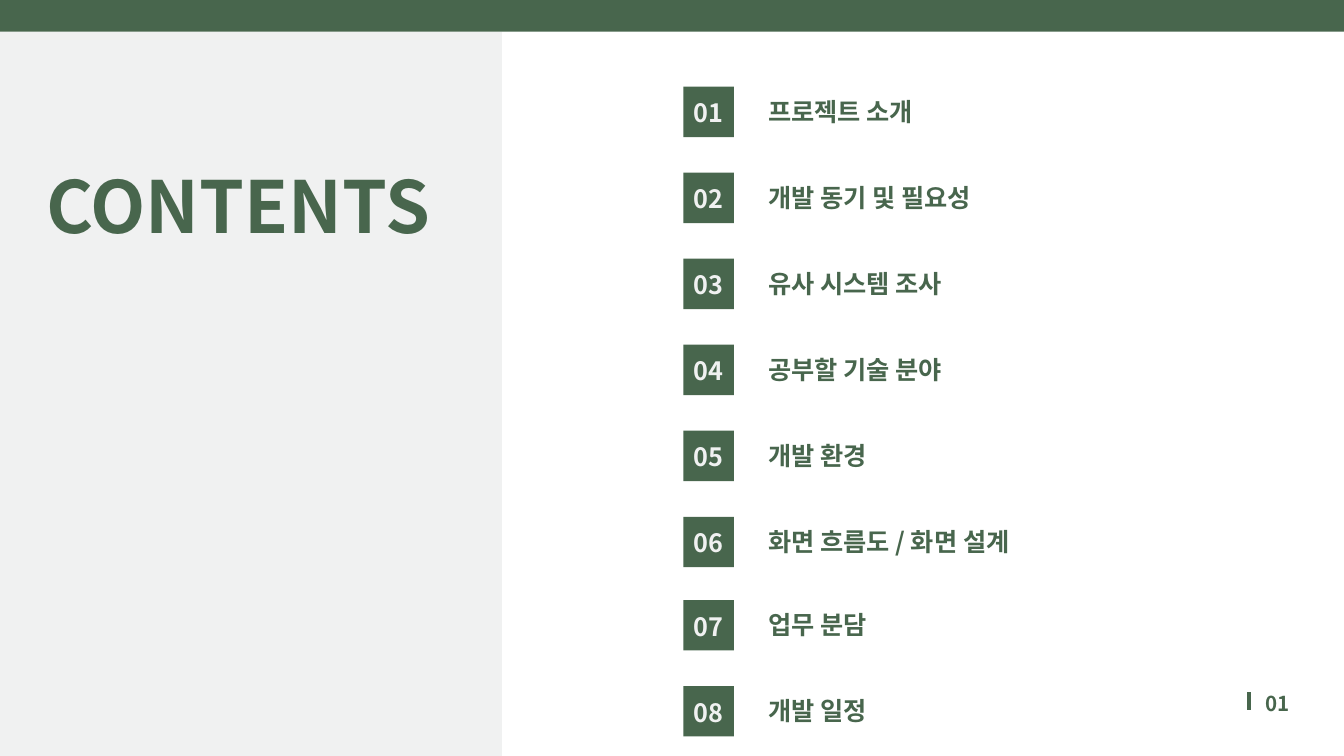
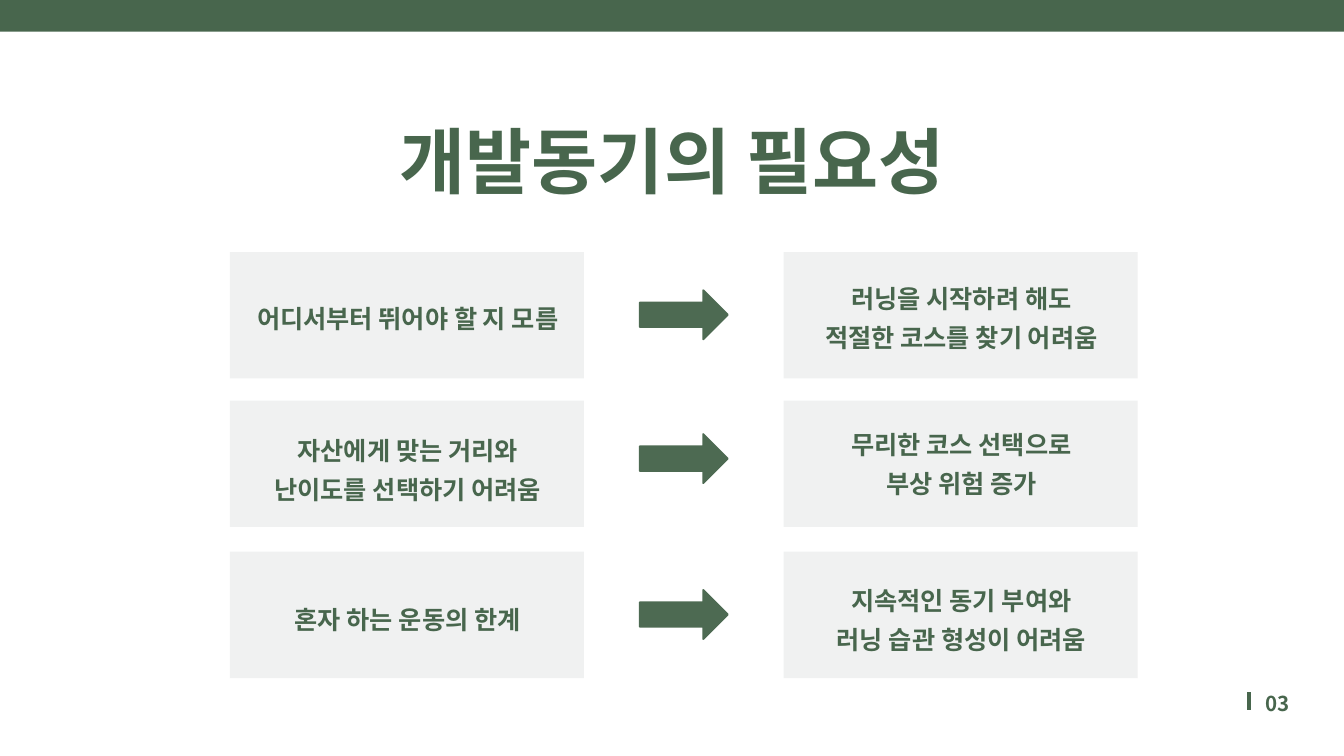
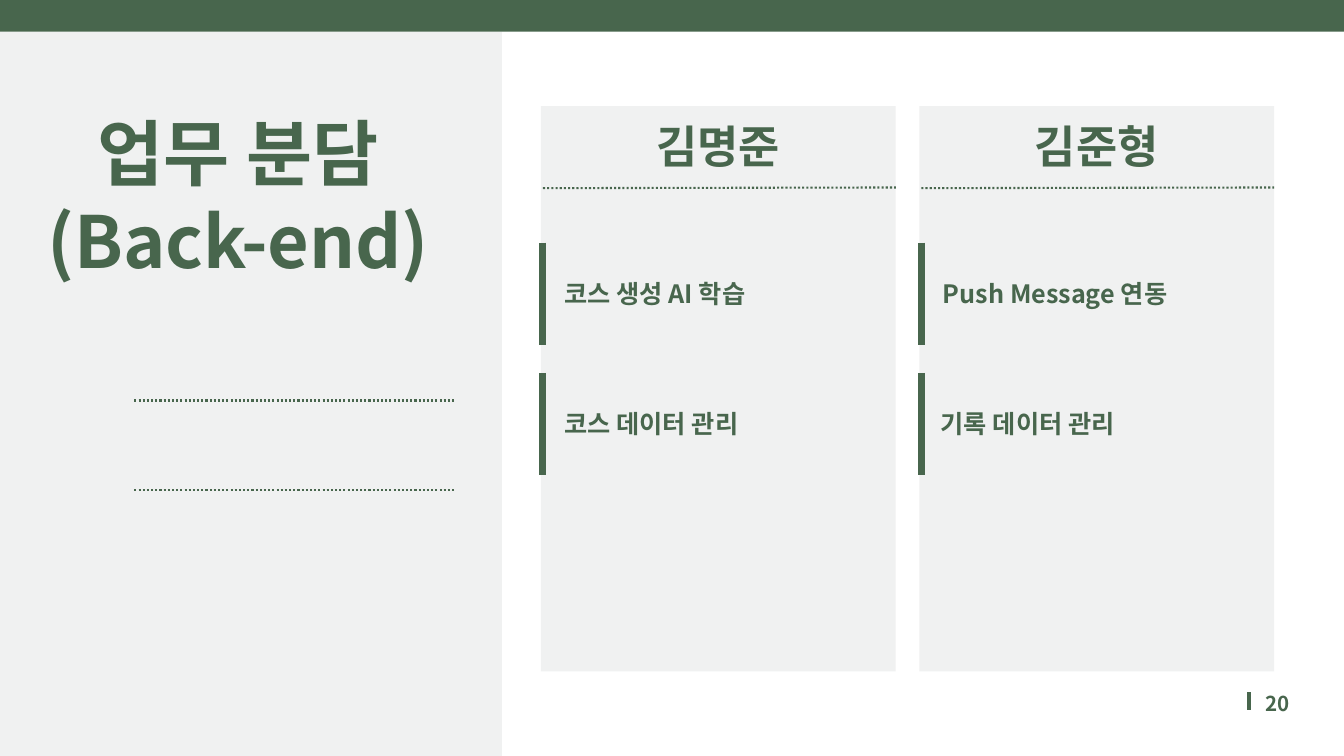
"""Build three project slides: contents, motivation and back-end work split."""
from dataclasses import dataclass

from lxml import etree
from pptx import Presentation
from pptx.dml.color import RGBColor
from pptx.enum.dml import MSO_LINE
from pptx.enum.shapes import MSO_CONNECTOR, MSO_SHAPE
from pptx.enum.text import MSO_ANCHOR, MSO_AUTO_SIZE, PP_ALIGN
from pptx.oxml.ns import qn
from pptx.util import Inches, Pt

RECT, ARROW = MSO_SHAPE.RECTANGLE, MSO_SHAPE.RIGHT_ARROW
STRAIGHT, DOTTED = MSO_CONNECTOR.STRAIGHT, MSO_LINE.ROUND_DOT
LEFT, CENTER, RIGHT = PP_ALIGN.LEFT, PP_ALIGN.CENTER, PP_ALIGN.RIGHT
TOP, MIDDLE = MSO_ANCHOR.TOP, MSO_ANCHOR.MIDDLE
FIT = MSO_AUTO_SIZE.SHAPE_TO_FIT_TEXT


@dataclass(frozen=True)
class Theme:
    """Colours, font and type sizes shared by the slides."""
    green: RGBColor = RGBColor(0x48, 0x66, 0x4D)
    arrow: RGBColor = RGBColor(0x4D, 0x6A, 0x52)
    pale: RGBColor = RGBColor(0xF0, 0xF1, 0xF1)
    font: str = "Noto Sans CJK KR"
    title: float = 77
    name: float = 48
    body: float = 27
    page: float = 22


class Deck:
    """Holds the style and the current slide."""

    def __init__(self, theme):
        """Start an empty presentation."""
        self.theme = theme
        self.prs = Presentation()
        self.prs.slide_width, self.prs.slide_height = Inches(20), Inches(11.25)
        self.s = None

    def slide(self, page, panel=False):
        """Add a slide with the top band, page number and optional side panel."""
        self.s = self.prs.slides.add_slide(self.prs.slide_layouts[6])
        if panel:
            self.block(0, 0.47, 7.47, 10.78, self.theme.pale)
        self.block(0, 0, 20, 0.47, self.theme.green)
        self.line(18.59, 10.3, 18.59, 10.57, 3.75)
        self.text(18.71, 10.22, 0.48, 0.42, [page], self.theme.page, 30.8, RIGHT)

    def block(self, x, y, w, h, color, kind=RECT, border=None):
        """Add a filled preset shape."""
        sp = self.s.shapes.add_shape(kind, *map(Inches, (x, y, w, h)))
        sp.shadow.inherit = False
        sp.fill.solid()
        sp.fill.fore_color.rgb = color
        if border:
            sp.line.color.rgb, sp.line.width = color, Pt(border)
        else:
            sp.line.fill.background()
        return sp

    def line(self, x1, y1, x2, y2, width, dash=None):
        """Add a green straight line."""
        cx = self.s.shapes.add_connector(STRAIGHT, *map(Inches, (x1, y1, x2, y2)))
        cx.line.color.rgb, cx.line.width = self.theme.green, Pt(width)
        if dash:
            cx.line.dash_style = dash
        etree.SubElement(cx._element.spPr, qn("a:effectLst"))

    def fill_text(self, tf, lines, size, spacing, align, color, anchor=TOP, margins=(0, 0, 0, 0)):
        """Fill a text frame with bold paragraphs."""
        sides = ("margin_left", "margin_top", "margin_right", "margin_bottom")
        frame = dict(zip(sides, map(Inches, margins)), word_wrap=True, vertical_anchor=anchor)
        for key, value in frame.items():
            setattr(tf, key, value)
        for i, line in enumerate(lines):
            p = tf.add_paragraph() if i else tf.paragraphs[0]
            p.alignment, p.line_spacing = align, Pt(spacing)
            r = p.add_run()
            r.text = line
            for key, value in {"size": Pt(size), "bold": True, "name": self.theme.font}.items():
                setattr(r.font, key, value)
            r.font.color.rgb = color
            ea = etree.SubElement(r._r.get_or_add_rPr(), qn("a:ea"))
            ea.set("typeface", self.theme.font)

    def text(self, x, y, w, h, lines, size, spacing, align=LEFT):
        """Add a green text box without margins."""
        tf = self.s.shapes.add_textbox(*map(Inches, (x, y, w, h))).text_frame
        self.fill_text(tf, lines, size, spacing, align, self.theme.green)
        tf.auto_size = FIT

    def title(self, x, y, w, h, lines, spacing=107.8):
        """Add a large centred title."""
        self.text(x, y, w, h, lines, self.theme.title, spacing, CENTER)

    def label(self, x, y, line):
        """Add a one-line body label."""
        self.text(x, y, 4.58, 0.45, [line], self.theme.body, 32.4)

    def badge(self, x, y, number):
        """Add a green numbered square."""
        sp = self.block(x, y, 0.75, 0.75, self.theme.green)
        self.fill_text(sp.text_frame, [number], self.theme.body, 37.8, CENTER, self.theme.pale,
                       MIDDLE, (0.06, 0.01, 0.06, 0.06))

    def card(self, x, y, text_y, lines):
        """Add a pale box with centred lines."""
        self.block(x, y, 5.27, 1.88, self.theme.pale)
        self.text(x + 0.17, text_y, 4.95, 0.53 * len(lines), lines, self.theme.body, 41.8, CENTER)

    def member(self, x, name, tasks):
        """Add a column with a member's name and tasks."""
        self.block(x, 1.58, 5.28, 8.41, self.theme.pale)
        self.line(x + 0.03, 2.8, x + 5.28, 2.79, 2.25, DOTTED)
        self.text(x + 0.35, 2.11, 4.58, 0.49, [name], self.theme.name, 32.4, CENTER)
        for i, (indent, task) in enumerate(tasks):
            y = 3.61 + 1.94 * i
            self.line(x + 0.03, y, x + 0.03, y + 1.52, 7.5)
            self.label(x + indent, y + 0.53, task)


def contents(deck):
    """Build the contents slide."""
    deck.slide("01", panel=True)
    deck.title(0.58, 2.19, 5.93, 1.44, ["CONTENTS"])
    topics = ["프로젝트 소개", "개발 동기 및 필요성", "유사 시스템 조사", "공부할 기술 분야",
              "개발 환경", "화면 흐름도 / 화면 설계", "업무 분담", "개발 일정"]
    for i, topic in enumerate(topics):
        y = 1.29 + 1.28 * i - (0.04 if i > 5 else 0)
        deck.badge(10.17, y, f"{i + 1:02}")
        deck.label(11.43, y + 0.14, topic)


def motivation(deck):
    """Build the slide that leads from causes to effects."""
    deck.slide("03")
    deck.title(5.45, 1.52, 9.11, 1.38, ["개발동기의 필요성"])
    rows = [
        (3.75, 4.32, 4.38, ["어디서부터 뛰어야 할 지 모름"],
         4.09, ["러닝을 시작하려 해도", "적절한 코스를 찾기 어려움"]),
        (5.96, 6.46, 6.34, ["자산에게 맞는 거리와", "난이도를 선택하기 어려움"],
         6.26, ["무리한 코스 선택으로", "부상 위험 증가"]),
        (8.21, 8.78, 8.86, ["혼자 하는 운동의 한계"],
         8.58, ["지속적인 동기 부여와", "러닝 습관 형성이 어려움"]),
    ]
    for y, arrow_y, cause_y, cause, effect_y, effect in rows:
        deck.card(3.42, y, cause_y, cause)
        deck.card(11.66, y, effect_y, effect)
        deck.block(9.52, arrow_y, 1.31, 0.73, deck.theme.arrow, ARROW, border=2)


def work_split(deck):
    """Build the back-end work split slide."""
    deck.slide("20", panel=True)
    deck.title(0.58, 1.58, 5.93, 2.58, ["업무 분담", "(Back-end)"], 94.7)
    for y in (5.96, 7.29):
        deck.line(2, y, 6.76, y, 2.25, DOTTED)
    deck.member(8.05, "김명준", [(0.35, "코스 생성 AI 학습"), (0.35, "코스 데이터 관리")])
    deck.member(13.68, "김준형", [(0.35, "Push Message 연동"), (0.32, "기록 데이터 관리")])


def main():
    """Build and save the deck."""
    deck = Deck(Theme())
    for build in (contents, motivation, work_split):
        build(deck)
    deck.prs.save("out.pptx")


if __name__ == "__main__":
    main()
